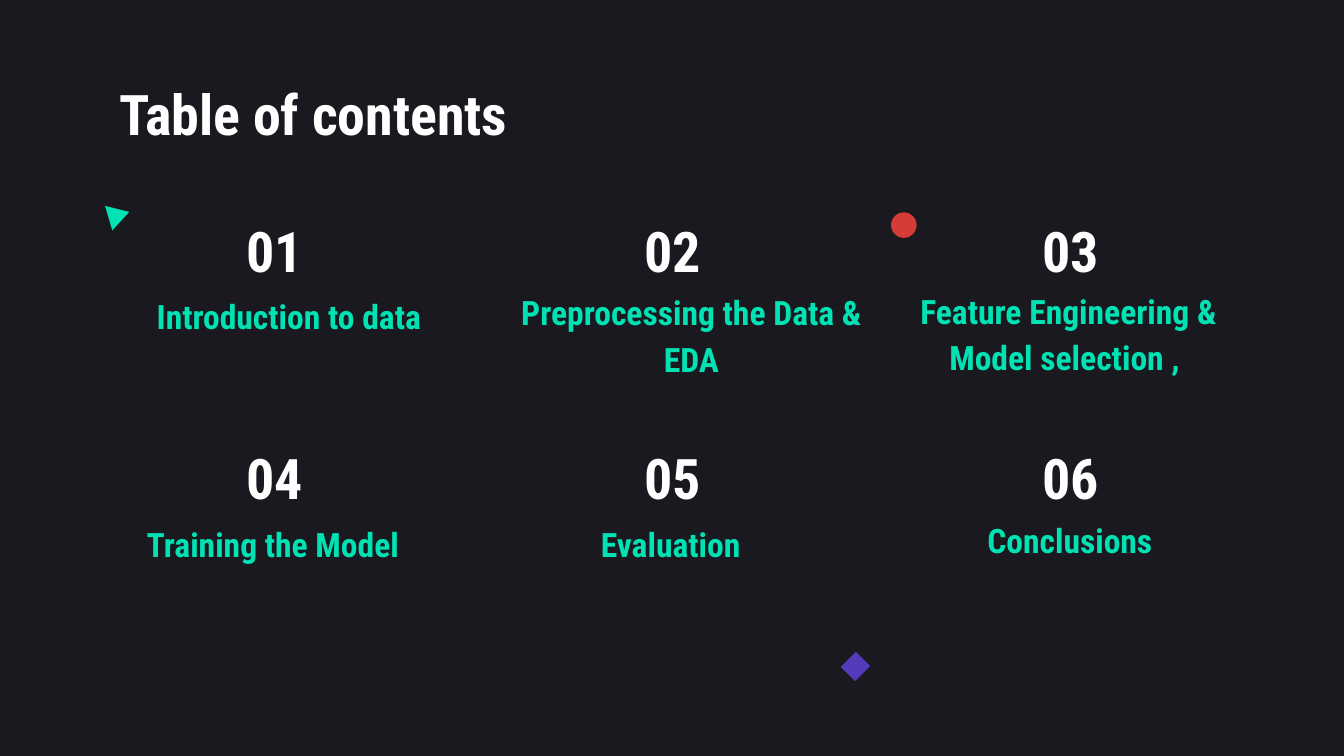
from typing import NamedTuple

from pptx import Presentation
from pptx.dml.color import RGBColor as Rgb
from pptx.enum.shapes import MSO_SHAPE as Shape
from pptx.enum.text import MSO_ANCHOR as Anchor, PP_ALIGN as Align
from pptx.util import Inches, Pt

FONT = "Roboto Condensed"
COLORS = {
    "dark": "19191F",
    "white": "FFFFFF",
    "green": "00E1B4",
    "red": "D63C37",
    "violet": "553BBB",
}


class Box(NamedTuple):
    left: float
    top: float
    width: float
    height: float


class Topic(NamedTuple):
    name: str
    box: Box
    anchor: Anchor = Anchor.BOTTOM


class Mark(NamedTuple):
    kind: Shape
    box: Box
    color: str
    turn: float = 0


TOPICS = [
    Topic("Introduction to data", Box(0.89, 2.12, 2.52, 0.42), Anchor.MIDDLE),
    Topic("Preprocessing the Data & EDA", Box(3.69, 2.04, 2.91, 0.88)),
    Topic("Feature Engineering & Model selection , ", Box(6.69, 2.03, 2.52, 0.88)),
    Topic("Training the Model", Box(0.77, 3.88, 2.52, 0.42)),
    Topic("Evaluation", Box(3.73, 3.88, 2.52, 0.42)),
    Topic("Conclusions", Box(6.7, 3.85, 2.52, 0.42)),
]
MARKS = [
    Mark(Shape.OVAL, Box(6.63, 1.58, 0.19, 0.19), "red"),
    Mark(Shape.ISOSCELES_TRIANGLE, Box(0.79, 1.52, 0.19, 0.16), "green", 73.5),
    Mark(Shape.RECTANGLE, Box(6.29, 4.88, 0.15, 0.16), "violet", 45),
]
WIDTH = 10
COLS = 3
LEFT, TOP = 1.55, 1.54
STEP_X, STEP_Y = 2.96, 1.69


def paint(fill, color: str) -> None:
    fill.solid()
    fill.fore_color.rgb = Rgb.from_string(COLORS[color])


def add_text(slide, text: str, box: Box, size: int, color: str,
             anchor: Anchor = Anchor.BOTTOM, align: Align = Align.CENTER,
             pitch: float = 1.15) -> None:
    frame = slide.shapes.add_textbox(*map(Inches, box)).text_frame
    frame.word_wrap = True
    frame.vertical_anchor = anchor
    frame.margin_left = frame.margin_right = Inches(0.1)
    frame.margin_top = frame.margin_bottom = Inches(0.1)
    frame.text = text
    para = frame.paragraphs[0]
    para.alignment = align
    para.line_spacing = pitch
    font = para.runs[0].font
    font.name, font.size, font.bold = FONT, Pt(size), True
    font.color.rgb = Rgb.from_string(COLORS[color])


def add_mark(slide, mark: Mark) -> None:
    shape = slide.shapes.add_shape(mark.kind, *map(Inches, mark.box))
    shape.rotation = mark.turn
    shape.shadow.inherit = False
    shape.line.fill.background()
    paint(shape.fill, mark.color)


def main() -> None:
    deck = Presentation()
    deck.slide_width = Inches(WIDTH)
    deck.slide_height = Inches(WIDTH * 9 / 16)
    slide = deck.slides.add_slide(deck.slide_layouts[6])
    paint(slide.background.fill, "dark")

    add_text(slide, "Table of contents", Box(0.79, 0.49, 8.43, 0.63), 30,
             "white", Anchor.TOP, Align.LEFT, 1.0)
    for i, topic in enumerate(TOPICS):
        row, col = divmod(i, COLS)
        spot = Box(LEFT + col * STEP_X, TOP + row * STEP_Y, 0.99, 0.67)
        add_text(slide, f"{i + 1:02}", spot, 30, "white")
        add_text(slide, topic.name, topic.box, 18, "green", topic.anchor)
    for mark in MARKS:
        add_mark(slide, mark)

    deck.save("out.pptx")


if __name__ == "__main__":
    main()
